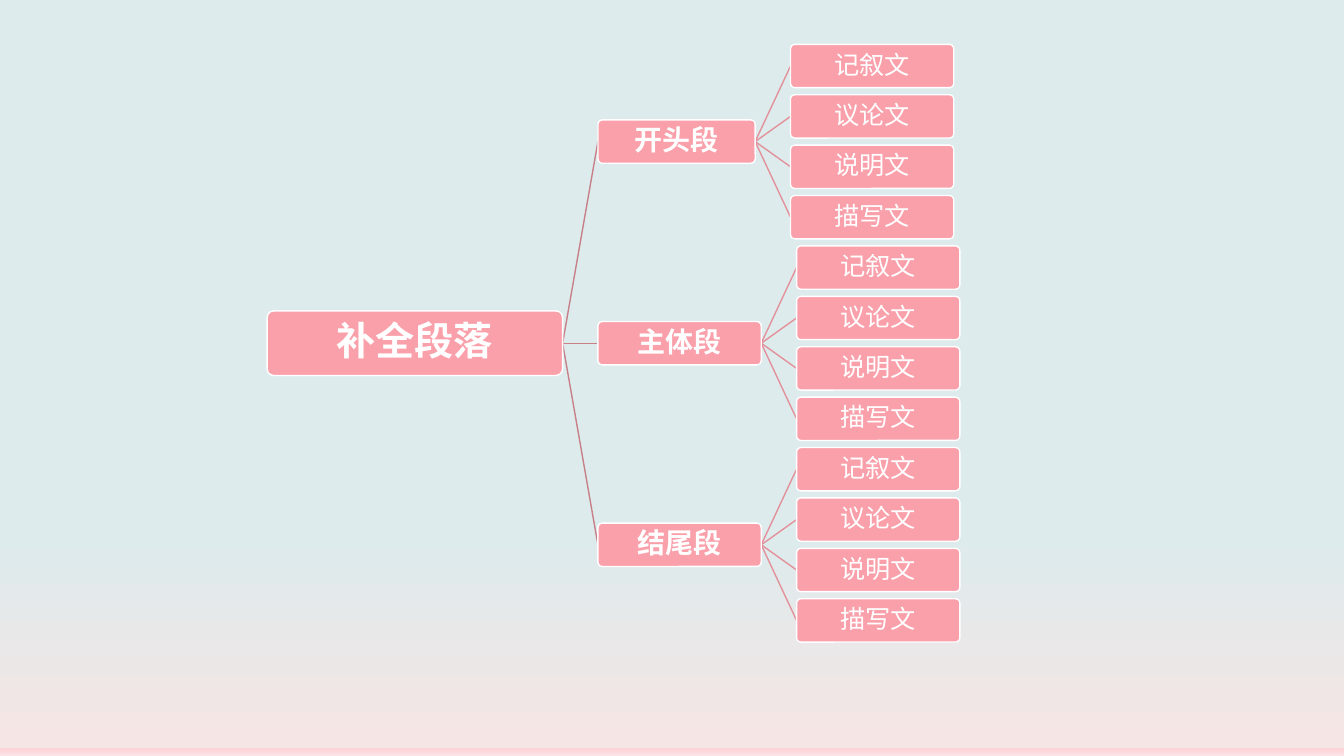
from lxml.etree import SubElement
from pptx import Presentation
from pptx.dml.color import RGBColor
from pptx.enum.shapes import MSO_CONNECTOR, MSO_SHAPE
from pptx.enum.text import MSO_ANCHOR, PP_ALIGN
from pptx.oxml.ns import qn
from pptx.util import Inches, Pt

PINK = RGBColor(0xFA, 0xA0, 0xAA)
WHITE = RGBColor(0xFF, 0xFF, 0xFF)
ROSE = RGBColor(0xC8, 0x80, 0x88)
BLUSH = RGBColor(0xE3, 0x91, 0x9A)
SKY = [
    (70, RGBColor(0xDD, 0xEB, 0xED)),
    (99, RGBColor(0xF5, 0xE5, 0xE4)),
    (99, RGBColor(0xFD, 0xD4, 0xD9)),
    (100, RGBColor(0xFD, 0xE3, 0xE6)),
]
FONT = "TeX Gyre Adventor"

# Columns are hundredths of the slide's width, rows fifteenths of its height.
COLS, ROWS = 100, 15
LEFT, GAP = 19.88, 2.63
WIDE, SLIM, NODE = 21.98, 11.7, 12.15
TALL, LOW = 1.28, 0.86
TOP = 1.31

ROOT = "补全段落"
PARTS = [("开头段", SLIM), ("主体段", NODE), ("结尾段", NODE)]
KINDS = ["记叙文", "议论文", "说明文", "描写文"]


class Tree:
    def __init__(self, deck):
        self.col = deck.slide_width / COLS
        self.row = deck.slide_height / ROWS
        self.slide = deck.slides.add_slide(deck.slide_layouts[6])
        self.shapes = self.slide.shapes

    def shade(self, stops):
        """Fill the background with a gradient from top to bottom."""
        fill = self.slide.background.fill
        fill.gradient()
        fill.gradient_angle = 270
        group = self.slide.element.find(".//" + qn("a:gsLst"))
        for old in list(group):
            group.remove(old)
        for share, color in stops:
            stop = SubElement(group, qn("a:gs"), pos=str(share * 1000))
            SubElement(stop, qn("a:srgbClr"), val=str(color))

    def node(self, text, x, mid, width, height, size, bold=False):
        """Draw a box whose left edge is column x, centred on row mid."""
        box = self.shapes.add_shape(
            MSO_SHAPE.ROUNDED_RECTANGLE,
            round(x * self.col), round((mid - height / 2) * self.row),
            round(width * self.col), round(height * self.row))
        box.adjustments[0] = 0.1
        box.shadow.inherit = False
        box.fill.solid()
        box.fill.fore_color.rgb = PINK
        box.line.color.rgb = WHITE
        box.line.width = Pt(1)

        frame = box.text_frame
        frame.text = text
        frame.word_wrap = True
        frame.vertical_anchor = MSO_ANCHOR.MIDDLE
        frame.margin_left = frame.margin_right = Inches(0.02)
        frame.margin_top = frame.margin_bottom = Inches(0.02)
        para = frame.paragraphs[0]
        para.alignment = PP_ALIGN.CENTER
        para.line_spacing = 0.9
        after = SubElement(para._p.get_or_add_pPr(), qn("a:spcAft"))
        SubElement(after, qn("a:spcPct"), val="35000")
        font = para.runs[0].font
        font.name, font.size, font.bold = FONT, Pt(size), bold
        font.color.rgb = WHITE
        return box

    def link(self, start, end, color):
        """Join the right side of start to the left side of end."""
        line = self.shapes.add_connector(MSO_CONNECTOR.STRAIGHT, 0, 0, 0, 0)
        line.begin_connect(start, 3)
        line.end_connect(end, 1)
        line.line.color.rgb = color
        line.line.width = Pt(1)
        SubElement(line._element.spPr, qn("a:effectLst"))
        self.shapes._spTree.insert(2, line._element)  # behind the boxes


def main():
    deck = Presentation()
    deck.slide_width, deck.slide_height = Inches(13.33), Inches(7.5)
    tree = Tree(deck)
    tree.shade(SKY)

    count = len(KINDS)
    center = TOP + (len(PARTS) * count - 1) / 2
    root = tree.node(ROOT, LEFT, center, WIDE, TALL, 28, True)
    x = LEFT + WIDE + GAP
    for i, (name, width) in enumerate(PARTS):
        first = TOP + i * count
        part = tree.node(name, x, first + (count - 1) / 2, width, LOW, 20, True)
        tree.link(root, part, ROSE)
        for j, kind in enumerate(KINDS):
            leaf = tree.node(kind, x + width + GAP, first + j, NODE, LOW, 18)
            tree.link(part, leaf, BLUSH)

    deck.save("out.pptx")


if __name__ == "__main__":
    main()
